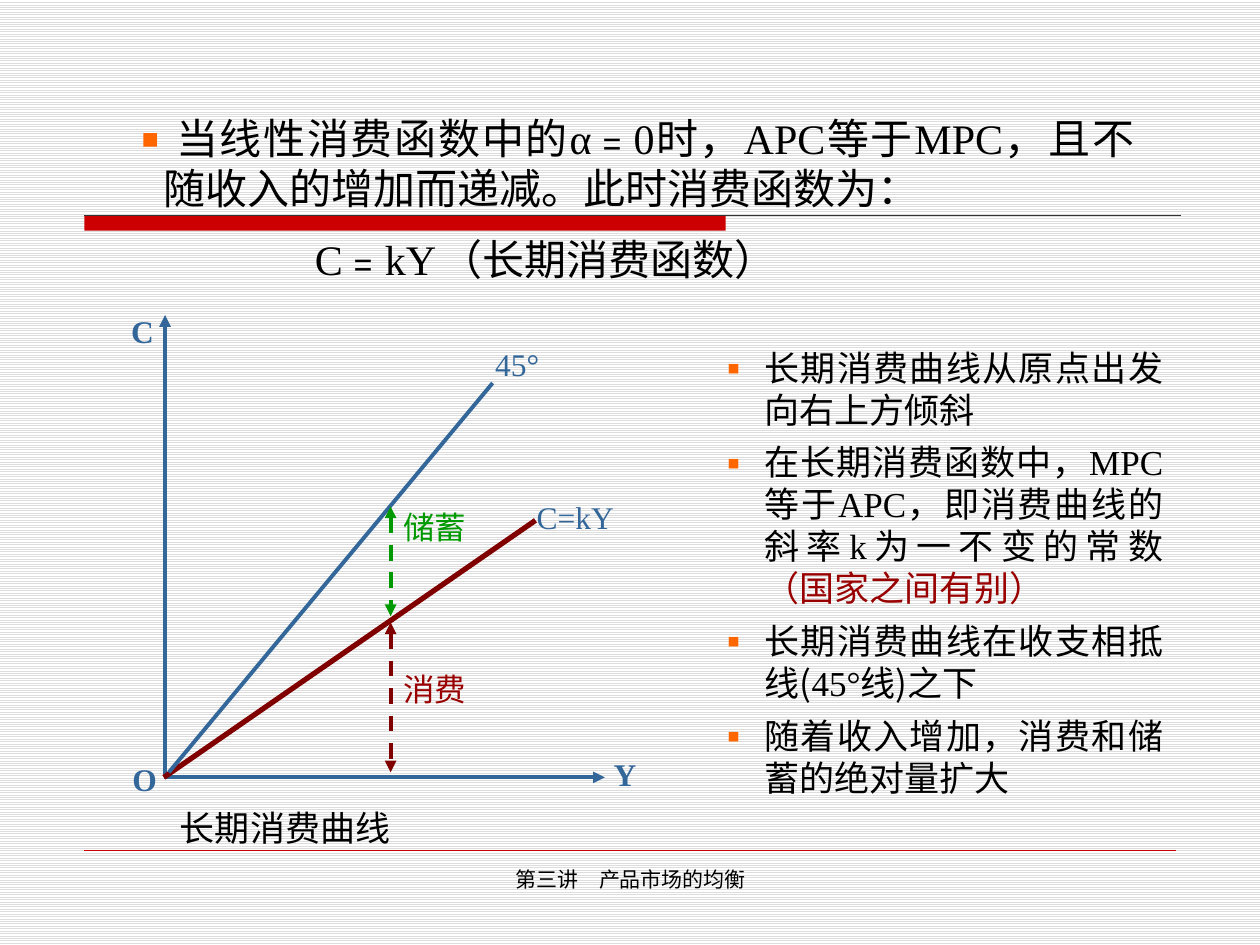
import dataclasses
import typing

import lxml.etree
import pptx
import pptx.dml.color
import pptx.enum.dml
import pptx.enum.shapes
import pptx.enum.text
import pptx.oxml.ns
import pptx.util

Inches = pptx.util.Inches
Pt = pptx.util.Pt
Align = pptx.enum.text.PP_ALIGN
Anchor = pptx.enum.text.MSO_ANCHOR


@dataclasses.dataclass(frozen=True)
class Theme:
    black: str = "000000"
    rule: str = "333333"
    red: str = "CC0000"
    blue: str = "336699"
    maroon: str = "800000"
    wine: str = "990000"
    green: str = "009900"
    orange: str = "FF6600"
    stripe: str = "DDDDDD"
    white: str = "FFFFFF"
    chinese: str = "Noto Sans CJK SC"
    latin: str = "Times New Roman"
    symbol: str = "Arial"
    footer: str = "DejaVu Sans"
    title_size: int = 24
    body_size: int = 20
    label_size: int = 18
    footer_size: int = 12


THEME = Theme()


class Piece(typing.NamedTuple):
    text: str
    font: str = THEME.chinese
    color: str = THEME.black


class Paragraph(typing.NamedTuple):
    pieces: list[Piece]
    size: int
    align: Align = Align.JUSTIFY
    before: float = 0
    margin: float = 0
    hanging: float = 0
    bullet_percent: int = 0
    tab: float = 0
    bold: bool = False


class Label(typing.NamedTuple):
    text: str
    left: float
    top: float
    width: float
    color: str = THEME.blue
    bold: bool = False


class Line(typing.NamedTuple):
    start: tuple[float, float]
    end: tuple[float, float]
    color: str
    width: float
    head: bool = False
    tail: bool = False
    dashed: bool = False


def rgb(color: str) -> pptx.dml.color.RGBColor:
    return pptx.dml.color.RGBColor.from_string(color)


def add_element(parent, tag: str, **attributes: str):
    return lxml.etree.SubElement(parent, pptx.oxml.ns.qn(tag), attributes)


def add_line(slide, line: Line) -> None:
    connector = slide.shapes.add_connector(
        pptx.enum.shapes.MSO_CONNECTOR.STRAIGHT,
        *(Inches(value) for value in line.start + line.end))
    connector.line.color.rgb = rgb(line.color)
    connector.line.width = Pt(line.width)
    if line.dashed:
        connector.line.dash_style = pptx.enum.dml.MSO_LINE.DASH
    outline = connector.line._get_or_add_ln()
    if line.head:
        add_element(outline, "a:headEnd", type="triangle")
    if line.tail:
        add_element(outline, "a:tailEnd", type="triangle")
    add_element(connector._element.spPr, "a:effectLst")


def format_paragraph(paragraph, content: Paragraph) -> None:
    paragraph.alignment = content.align
    paragraph.space_before = Pt(content.before)
    properties = paragraph._p.get_or_add_pPr()
    properties.set("marL", str(Inches(content.margin)))
    properties.set("indent", str(Inches(-content.hanging)))
    if content.bullet_percent:
        color = add_element(properties, "a:buClr")
        add_element(color, "a:srgbClr", val=THEME.orange)
        add_element(properties, "a:buSzPct", val=str(content.bullet_percent * 1000))
        add_element(properties, "a:buFont", typeface=THEME.chinese)
        add_element(properties, "a:buChar", char="▪")
    if content.tab:
        tabs = add_element(properties, "a:tabLst")
        add_element(tabs, "a:tab", pos=str(Inches(content.tab)), algn="l")
    for piece in content.pieces:
        run = paragraph.add_run()
        run.text = piece.text
        run.font.name = piece.font
        run.font.size = Pt(content.size)
        run.font.bold = content.bold
        run.font.color.rgb = rgb(piece.color)
        add_element(run._r.get_or_add_rPr(), "a:ea", typeface=THEME.chinese)


def add_text(slide, box: tuple[float, float, float, float],
             paragraphs: list[Paragraph], anchor: Anchor = Anchor.TOP,
             insets: tuple[float, float] = (0.1, 0.05)) -> None:
    shape = slide.shapes.add_textbox(*(Inches(value) for value in box))
    frame = shape.text_frame
    frame.word_wrap = True
    frame.vertical_anchor = anchor
    frame.margin_left = frame.margin_right = Inches(insets[0])
    frame.margin_top = frame.margin_bottom = Inches(insets[1])
    for index, content in enumerate(paragraphs):
        paragraph = frame.add_paragraph() if index else frame.paragraphs[0]
        format_paragraph(paragraph, content)


def add_label(slide, label: Label) -> None:
    piece = Piece(label.text, THEME.latin, label.color)
    add_text(slide, (label.left, label.top, label.width, 0.5),
             [Paragraph([piece], THEME.label_size, bold=label.bold)],
             insets=(0.02, 0.01))


def latin(text: str) -> Piece:
    return Piece(text, THEME.latin)


def main() -> None:
    presentation = pptx.Presentation()
    presentation.slide_width, presentation.slide_height = Inches(10), Inches(7.5)
    slide = presentation.slides.add_slide(presentation.slide_layouts[6])

    # Striped background
    background = slide.background.fill
    background.patterned()
    background.pattern = pptx.enum.dml.MSO_PATTERN.LIGHT_HORIZONTAL
    background.fore_color.rgb = rgb(THEME.stripe)
    background.back_color.rgb = rgb(THEME.white)

    # Header bar and rules
    bar = slide.shapes.add_shape(pptx.enum.shapes.MSO_SHAPE.RECTANGLE, Inches(0.67),
                                 Inches(1.71), Inches(5.09), Inches(0.12))
    bar.shadow.inherit = False
    bar.fill.solid()
    bar.fill.fore_color.rgb = rgb(THEME.red)
    bar.line.fill.background()
    add_line(slide, Line((0.67, 1.71), (9.37, 1.71), THEME.rule, 0.75))
    add_line(slide, Line((0.67, 6.75), (9.33, 6.75), THEME.red, 0.25))

    # Observations on the curve
    observations = [
        [Piece("长期消费曲线从原点出发向右上方倾斜")],
        [Piece("在长期消费函数中，"), latin("MPC"), Piece("等于"), latin("APC"),
         Piece("，即消费曲线的斜率"), latin("k"), Piece("为一不变的常数 "),
         Piece("（国家之间有别）", color=THEME.wine)],
        [Piece("长期消费曲线在收支相抵线("), latin("45°"), Piece("线)之下")],
        [Piece("随着收入增加，消费和储蓄的绝对量扩大")],
    ]
    add_text(slide, (5.59, 2.7, 3.74, 3.7), [
        Paragraph(pieces, THEME.body_size, before=6 if index else 7,
                  margin=0.38, hanging=0.38, bullet_percent=100)
        for index, pieces in enumerate(observations)])

    # Consumption diagram
    add_text(slide, (1.33, 6.33, 3.66, 0.48),
             [Paragraph([Piece("长期消费曲线")], THEME.body_size, Align.LEFT, before=4,
                        margin=0.38, hanging=0.38)], Anchor.MIDDLE)
    for line in (
        Line((1.3, 6.17), (4.8, 6.17), THEME.blue, 2.25, tail=True),
        Line((1.31, 6.15), (1.31, 2.5), THEME.blue, 2.25, tail=True),
        Line((1.3, 6.17), (4.25, 4.13), THEME.maroon, 3),
        Line((1.34, 6.13), (3.91, 3.04), THEME.blue, 2.25),
        Line((3.1, 4.94), (3.1, 6.13), THEME.maroon, 2.25, True, True, True),
        Line((3.1, 4.02), (3.1, 4.89), THEME.green, 2.25, True, True, True),
    ):
        add_line(slide, line)
    for label in (
        Label("O", 1.03, 6.02, 0.31, bold=True),
        Label("Y", 4.85, 5.98, 0.52, bold=True),
        Label("C", 1.02, 2.47, 0.52, bold=True),
        Label("45°", 3.91, 2.73, 0.66),
        Label("C=kY", 4.24, 3.94, 0.83),
        Label("消费", 3.18, 5.31, 0.66, THEME.wine),
        Label("储蓄", 3.18, 4.02, 0.66, THEME.green),
    ):
        add_label(slide, label)

    # Main statement and formula
    equals = Piece("﹦", THEME.symbol)
    statement = [Piece("当线性消费函数中的"), latin("α"), equals, latin("0"),
                 Piece("时，"), latin("APC"), Piece("等于"), latin("MPC"),
                 Piece("，且不随收入的增加而递减。此时消费函数为：")]
    formula = [latin("C"), equals, latin("kY\t（"), Piece("长期消费函数"), latin("）")]
    add_text(slide, (0.9, 0.84, 8.2, 1.41), [
        Paragraph(statement, THEME.title_size, margin=0.3, hanging=0.3,
                  bullet_percent=120),
        Paragraph(formula, THEME.title_size, Align.LEFT, before=12, margin=1.5, tab=3)])

    # Footer
    add_text(slide, (3.42, 6.83, 3.17, 0.52), [
        Paragraph([Piece("第三讲　产品市场的均衡", THEME.footer)],
                  THEME.footer_size, Align.CENTER)])

    presentation.save("out.pptx")


if __name__ == "__main__":
    main()
